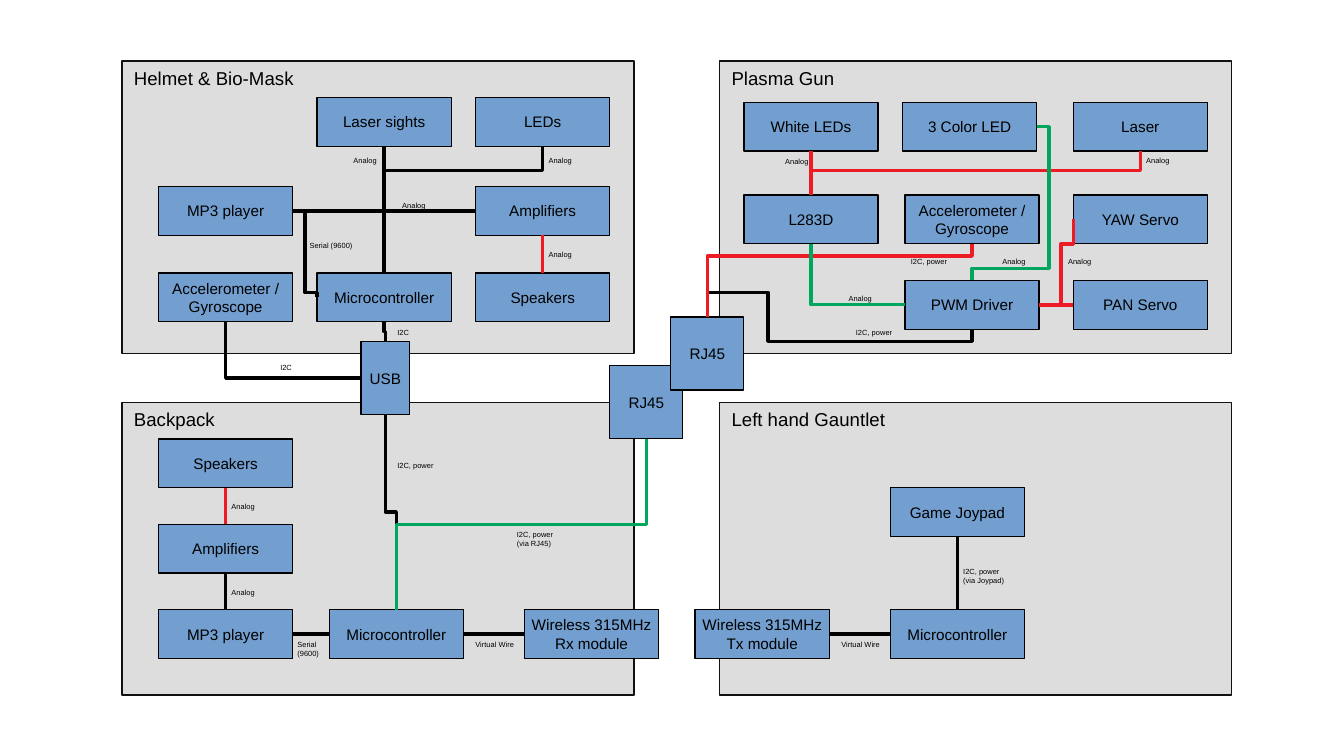
from lxml.etree import SubElement
from pptx import Presentation
from pptx.dml.color import RGBColor
from pptx.enum.shapes import MSO_CONNECTOR, MSO_SHAPE
from pptx.enum.text import MSO_ANCHOR, MSO_AUTO_SIZE, PP_ALIGN
from pptx.oxml.ns import qn
from pptx.util import Pt

PX = 9144  # 100 px to the inch
GREY = RGBColor(0xDD, 0xDD, 0xDD)
EDGE = RGBColor(0x11, 0x11, 0x11)
BLUE = RGBColor(0x72, 0x9F, 0xCF)
BLACK = RGBColor(0, 0, 0)
RED = RGBColor(0xED, 0x1C, 0x24)
GREEN = RGBColor(0x00, 0xA6, 0x5D)
TOP, LEFT, BOTTOM, RIGHT = range(4)

PANELS = [
    ("Helmet & Bio-Mask", 100, 50), ("Plasma Gun", 590, 50),
    ("Backpack", 100, 330), ("Left hand Gauntlet", 590, 330),
]
PANEL_SIZE = (420, 240)

# key: text, left, top, and the size where it is not BOX_SIZE
BOX_SIZE = (110, 40)
BOXES = {
    "helmet leds": ("LEDs", 390, 80),
    "sights": ("Laser sights", 260, 80),
    "helmet speakers": ("Speakers", 390, 224),
    "helmet amps": ("Amplifiers", 390, 153),
    "helmet mp3": ("MP3 player", 130, 153),
    "helmet micro": ("Microcontroller", 260, 224),
    "helmet accel": ("Accelerometer /\nGyroscope", 130, 224),
    "pack micro": ("Microcontroller", 270, 500),
    "pack speakers": ("Speakers", 130, 360),
    "pack amps": ("Amplifiers", 130, 430),
    "pack mp3": ("MP3 player", 130, 500),
    "rx": ("Wireless 315MHz\nRx module", 430, 500),
    "usb": ("USB", 296, 280, 40, 60),
    "tx": ("Wireless 315MHz\nTx module", 570, 500),
    "pack jack": ("RJ45", 500, 300, 60, 60),
    "gun jack": ("RJ45", 550, 260, 60, 60),
    "hand micro": ("Microcontroller", 730, 500),
    "joypad": ("Game Joypad", 730, 400),
    "pwm": ("PWM Driver", 742, 230),
    "pan": ("PAN Servo", 880, 230),
    "yaw": ("YAW Servo", 880, 160),
    "gun accel": ("Accelerometer /\nGyroscope", 742, 160),
    "l283d": ("L283D", 610, 160),
    "white": ("White LEDs", 610, 84),
    "color": ("3 Color LED", 740, 84),
    "laser": ("Laser", 880, 84),
}

# from, side, to, side, colour, then the places of the bends,
# along the starting axis first and across it next
WIRES = [
    ("helmet micro", TOP, "sights", BOTTOM, BLACK),
    ("helmet leds", BOTTOM, "helmet micro", TOP, BLACK, 140),
    ("helmet mp3", RIGHT, "helmet micro", LEFT, BLACK, 250, 240),
    ("helmet mp3", RIGHT, "helmet amps", LEFT, BLACK),
    ("helmet speakers", TOP, "helmet amps", BOTTOM, RED),
    ("helmet micro", BOTTOM, "usb", TOP, BLACK, 272),
    ("helmet accel", BOTTOM, "usb", LEFT, BLACK),
    ("usb", BOTTOM, "pack micro", TOP, BLACK, 420),
    ("pack micro", RIGHT, "rx", LEFT, BLACK),
    ("pack mp3", RIGHT, "pack micro", LEFT, BLACK),
    ("pack amps", TOP, "pack speakers", BOTTOM, RED),
    ("pack mp3", TOP, "pack amps", BOTTOM, BLACK),
    ("pack micro", TOP, "pack jack", BOTTOM, GREEN, 430),
    ("gun jack", TOP, "pwm", BOTTOM, BLACK, 240, 630, 280),
    ("pwm", RIGHT, "pan", LEFT, RED),
    ("pwm", RIGHT, "yaw", LEFT, RED, 870, 200),
    ("gun accel", BOTTOM, "gun jack", TOP, RED, 210),
    ("l283d", TOP, "white", BOTTOM, RED),
    ("l283d", TOP, "laser", BOTTOM, RED, 140),
    ("pwm", TOP, "color", RIGHT, GREEN, 220, 860),
    ("pwm", LEFT, "l283d", BOTTOM, GREEN),
    ("tx", RIGHT, "hand micro", LEFT, BLACK),
    ("hand micro", TOP, "joypad", BOTTOM, BLACK),
]

LABELS = [
    ("I2C", 316, 264, 30, 17), ("I2C", 220, 293, 30, 17),
    ("Serial (9600)", 244, 193, 60, 17),
    ("Analog", 320, 160, 60, 17), ("Analog", 440, 200, 60, 17),
    ("Analog", 440, 123, 60, 17), ("Analog", 280, 123, 60, 17),
    ("I2C, power", 316, 373, 54, 17),
    ("Virtual Wire", 380, 520, 60, 24),
    ("Serial\n(9600)", 234, 520, 60, 24),
    ("Analog", 180, 477, 60, 17), ("Analog", 180, 407, 60, 17),
    ("I2C, power\n(via RJ45)", 414, 430, 60, 30),
    ("I2C, power", 692, 264, 54, 17),
    ("Analog", 634, 124, 60, 17), ("Analog", 930, 123, 60, 17),
    ("I2C, power", 737, 206, 54, 17),
    ("Analog", 812, 206, 60, 17), ("Analog", 686, 236, 60, 17),
    ("Analog", 866, 206, 60, 17),
    ("Virtual Wire", 680, 520, 60, 24),
    ("I2C, power\n(via Joypad)", 780, 460, 60, 30),
]


def write(shape, text, size, align=PP_ALIGN.LEFT):
    frame = shape.text_frame
    frame.text = text
    for par in frame.paragraphs:
        par.alignment = align
        par.font.size = Pt(size)
        par.font.name = "Arial"
        par.font.color.rgb = BLACK
    return frame


def add_rect(shapes, box, fill, edge):
    rect = shapes.add_shape(MSO_SHAPE.RECTANGLE, *(n * PX for n in box))
    rect.shadow.inherit = False
    rect.fill.solid()
    rect.fill.fore_color.rgb = fill
    rect.line.color.rgb = edge
    rect.line.width = 0
    return rect


def side_mid(rect, side):
    x, y, w, h = rect.left, rect.top, rect.width, rect.height
    return [(x + w // 2, y), (x, y + h // 2),
            (x + w // 2, y + h), (x + w, y + h // 2)][side]


def bend(wire, start, end, axis, bends):
    """Shape an elbow that leaves along axis (0 across, 1 down)."""
    delta = [e - s for s, e in zip(start, end)]
    props = wire._element.spPr
    if axis:  # a quarter turn makes the elbow leave downwards
        wide, high = abs(delta[1]), abs(delta[0])
        wire.left = (start[0] + end[0] - wide) // 2
        wire.top = (start[1] + end[1] - high) // 2
        wire.width, wire.height = wide, high
        frame = props.find(qn("a:xfrm"))
        frame.set("rot", "5400000")
        frame.set("flipH", str(int(delta[1] < 0)))
        frame.set("flipV", str(int(delta[0] > 0)))
    geom = props.find(qn("a:prstGeom"))
    geom.set("prst", f"bentConnector{len(bends) + 2}")
    guides = geom.find(qn("a:avLst"))
    for i, place in enumerate(bends):
        k = (axis + i) % 2
        part = round((place * PX - start[k]) / delta[k] * 100000)
        SubElement(guides, qn("a:gd"), name=f"adj{i + 1}" if len(bends) > 1 else "adj1",
                   fmla=f"val {part}")


def add_wire(shapes, first, side, last, stop, color, bends):
    start, end = side_mid(first, side), side_mid(last, stop)
    straight = not bends and (start[0] == end[0] or start[1] == end[1])
    kind = MSO_CONNECTOR.STRAIGHT if straight else MSO_CONNECTOR.ELBOW
    wire = shapes.add_connector(kind, *start, *end)
    wire.begin_connect(first, side)
    wire.end_connect(last, stop)
    if not straight:
        bend(wire, start, end, int(side in (TOP, BOTTOM)), bends)
    wire.line.color.rgb = color
    wire.line.width = 0
    SubElement(wire._element.spPr, qn("a:effectLst"))


def main():
    deck = Presentation()
    deck.slide_width, deck.slide_height = 1102 * PX, 620 * PX
    shapes = deck.slides.add_slide(deck.slide_layouts[6]).shapes

    for text, x, y in PANELS:
        panel = add_rect(shapes, (x, y, *PANEL_SIZE), GREY, EDGE)
        frame = write(panel, text, 11)
        frame.word_wrap = False
        frame.vertical_anchor = MSO_ANCHOR.TOP

    rects = {}
    for key, (text, x, y, *size) in BOXES.items():
        rects[key] = add_rect(shapes, (x, y, *(size or BOX_SIZE)), BLUE, BLACK)
        frame = write(rects[key], text, 9, PP_ALIGN.CENTER)
        frame.word_wrap = False
        frame.vertical_anchor = MSO_ANCHOR.MIDDLE

    for first, side, last, stop, color, *bends in WIRES:
        add_wire(shapes, rects[first], side, rects[last], stop, color, bends)

    for text, *box in LABELS:
        label = shapes.add_textbox(*(n * PX for n in box))
        frame = write(label, text, 4.4)
        frame.word_wrap = True
        frame.auto_size = MSO_AUTO_SIZE.SHAPE_TO_FIT_TEXT

    deck.save("out.pptx")


if __name__ == "__main__":
    main()
